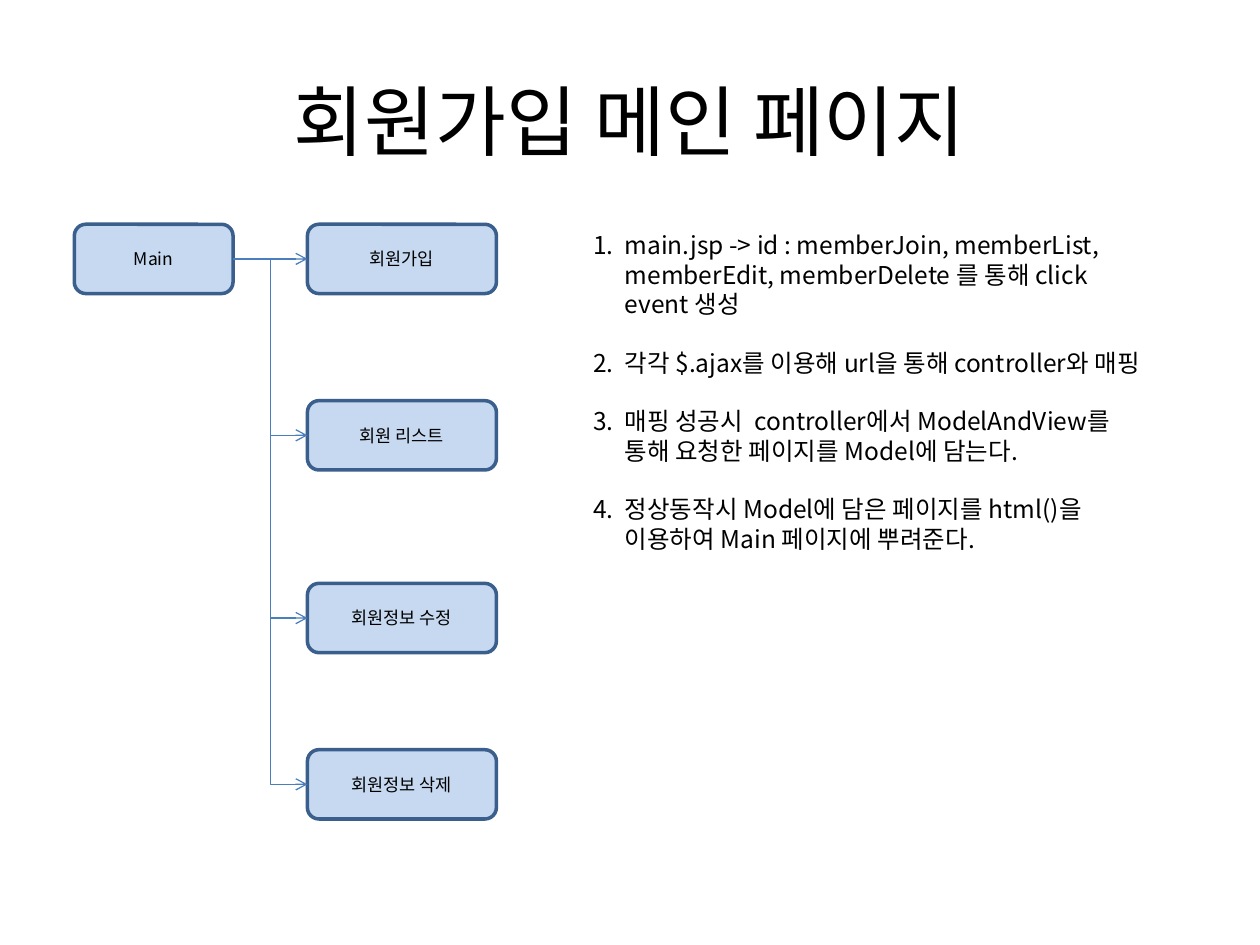
from lxml import etree
from pptx import Presentation
from pptx.dml.color import RGBColor
from pptx.enum.shapes import MSO_CONNECTOR, MSO_SHAPE
from pptx.enum.text import MSO_ANCHOR, PP_ALIGN
from pptx.oxml.ns import qn
from pptx.util import Inches, Pt

ROUNDED = MSO_SHAPE.ROUNDED_RECTANGLE
STRAIGHT, ELBOW = MSO_CONNECTOR.STRAIGHT, MSO_CONNECTOR.ELBOW
MIDDLE, TOP = MSO_ANCHOR.MIDDLE, MSO_ANCHOR.TOP
CENTER, LEFT = PP_ALIGN.CENTER, PP_ALIGN.LEFT
LEFT_SITE, RIGHT_SITE = 1, 3

FONT = "Noto Sans CJK KR"
COLORS = {"text": "000000", "box": "C6D9F1", "border": "3A5F8C", "arrow": "4B7EBC"}

TITLE = "회원가입 메인 페이지"
PAGES = [("회원가입", 0), ("회원 리스트", 1.4), ("회원정보 수정", 2.85), ("회원정보 삭제", 4.17)]
STEPS = [
    "main.jsp -> id : memberJoin, memberList, memberEdit, memberDelete 를 통해 click event 생성",
    "각각 $.ajax를 이용해 url을 통해 controller와 매핑",
    "매핑 성공시  controller에서 ModelAndView를 통해 요청한 페이지를 Model에 담는다.",
    "정상동작시 Model에 담은 페이지를 html()을 이용하여 Main 페이지에 뿌려준다.",
]


def color(name):
    return RGBColor.from_string(COLORS[name])


def add_span(para, text, size):
    span = para.add_run()
    span.text = text
    span.font.size = Pt(size)
    span.font.name = FONT
    span.font.color.rgb = color("text")
    etree.SubElement(span.font._element, qn("a:ea"), typeface=FONT)


def set_text(shape, texts, size, align, anchor):
    frame = shape.text_frame
    frame.word_wrap = True
    frame.vertical_anchor = anchor
    for index, text in enumerate(texts):
        para = frame.add_paragraph() if index else frame.paragraphs[0]
        para.alignment = align
        add_span(para, text, size)
    return frame.paragraphs


def add_title(page, left, top, width, height):
    box = page.shapes.add_textbox(*map(Inches, (left, top, width, height)))
    set_text(box, [TITLE], 44, CENTER, MIDDLE)


def add_node(page, text, left, top, width, height):
    node = page.shapes.add_shape(ROUNDED, *map(Inches, (left, top, width, height)))
    node.shadow.inherit = False
    node.fill.solid()
    node.fill.fore_color.rgb = color("box")
    node.line.color.rgb = color("border")
    node.line.width = Pt(2)
    set_text(node, [text], 10, CENTER, MIDDLE)
    return node


def add_arrow(page, start, end):
    kind = STRAIGHT if start.top == end.top else ELBOW
    arrow = page.shapes.add_connector(kind, 0, 0, 0, 0)
    arrow.begin_connect(start, RIGHT_SITE)
    arrow.end_connect(end, LEFT_SITE)
    arrow.line.color.rgb = color("arrow")
    arrow.line.width = Pt(0.75)
    properties = arrow._element.spPr
    etree.SubElement(properties.find(qn("a:ln")), qn("a:tailEnd"), type="arrow")
    etree.SubElement(properties, qn("a:effectLst"))


def add_page_tree(page, left, top, width):
    """Main on the left, its pages flush with the right edge."""
    height, main_width, page_width = 0.55, 1.26, 1.5
    main = add_node(page, "Main", left, top, main_width, height)
    for text, offset in PAGES:
        node = add_node(page, text, left + width - page_width, top + offset,
                        page_width, height)
        add_arrow(page, main, node)


def add_steps(page, left, top, width, height):
    box = page.shapes.add_textbox(*map(Inches, (left, top, width, height)))
    paras = set_text(box, STEPS, 14, LEFT, TOP)
    for para in paras:
        para.line_spacing = Pt(16.75)
        if para is not paras[-1]:
            para.space_after = Pt(16.75)
        # Automatic numbers with a hanging indent
        properties = para._p.get_or_add_pPr()
        properties.set("marL", str(Inches(0.25)))
        properties.set("indent", str(-Inches(0.25)))
        etree.SubElement(properties, qn("a:buFont"), typeface=FONT)
        etree.SubElement(properties, qn("a:buAutoNum"), type="arabicPeriod")


def main():
    deck = Presentation()
    deck.slide_width, deck.slide_height = Inches(10), Inches(7.5)
    page = deck.slides.add_slide(deck.slide_layouts[6])
    add_title(page, 0.75, 0.36, 8.5, 1.18)
    add_page_tree(page, 0.59, 1.78, 3.35)
    add_steps(page, 4.61, 1.78, 4.65, 3.16)
    deck.save("out.pptx")


main()
